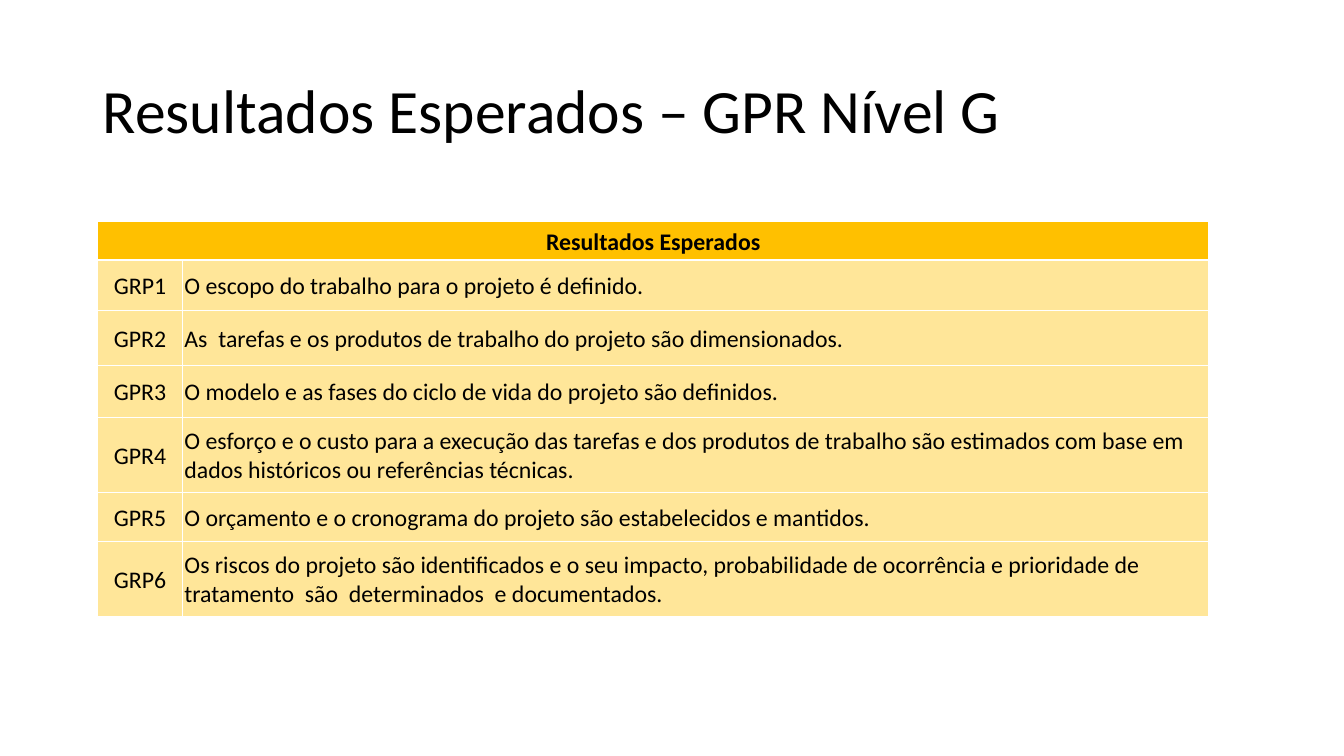
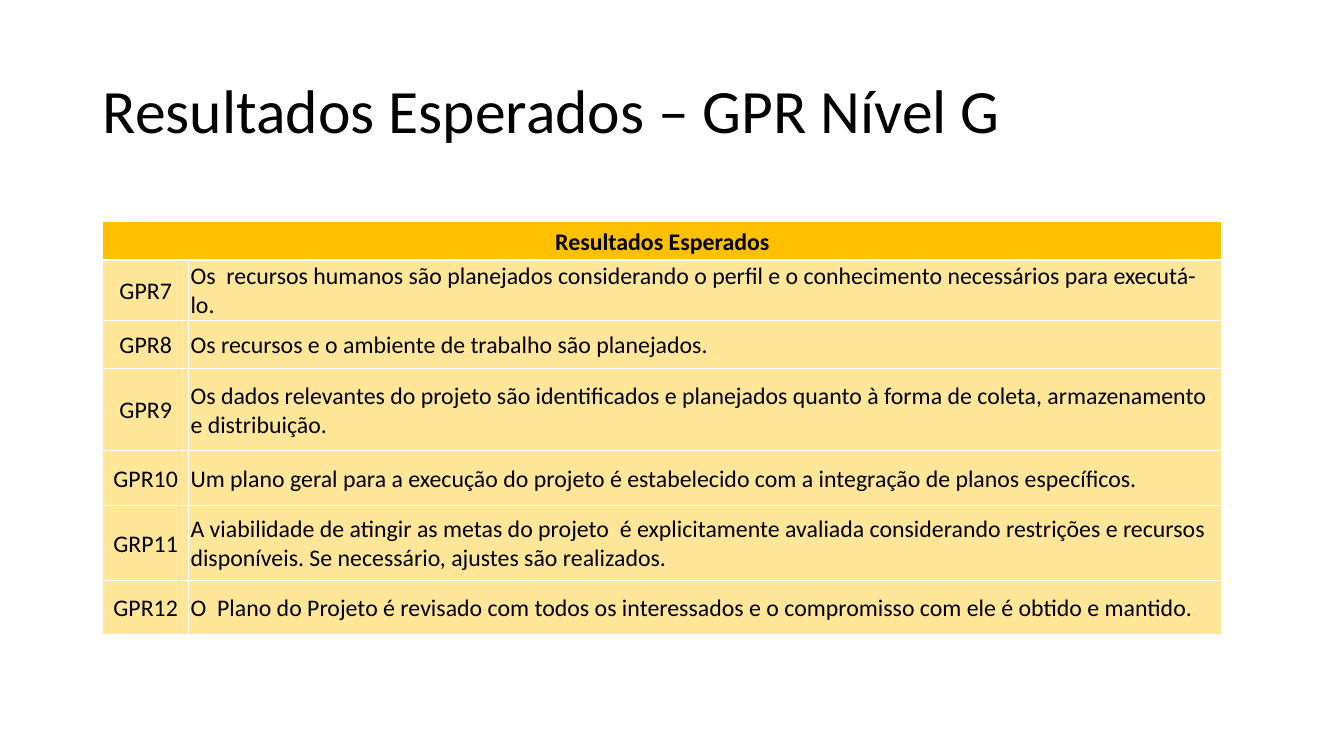
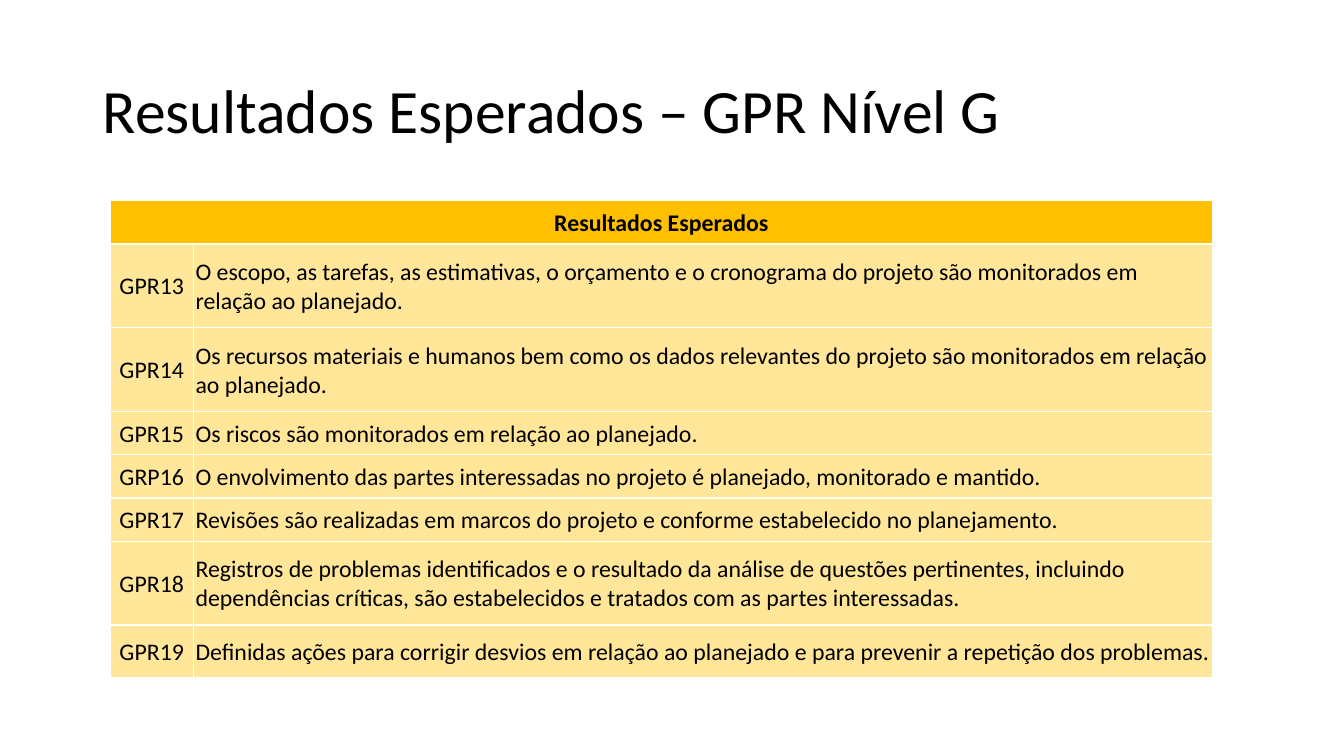
from lxml.etree import SubElement
from pptx import Presentation
from pptx.dml.color import RGBColor
from pptx.enum.text import MSO_ANCHOR, PP_ALIGN
from pptx.oxml.ns import qn
from pptx.util import Inches, Pt

COLORS = {"text": "000000", "header": "FFC000", "row": "FFE699", "border": "FFFFFF"}
FONT = "Calibri"
TITLE = "Resultados Esperados – GPR Nível G"
HEADER = "Resultados Esperados"

result_groups = [
    {
        "left": 0.97, "top": 2.2, "columns": [0.84, 10.18], "header_height": 0.38,
        "results": [
            ("GRP1", 0.5, "O escopo do trabalho para o projeto é definido."),
            ("GPR2", 0.55, "As  tarefas e os produtos de trabalho do projeto são dimensionados."),
            ("GPR3", 0.51, "O modelo e as fases do ciclo de vida do projeto são definidos."),
            ("GPR4", 0.75, "O esforço e o custo para a execução das tarefas e dos produtos de trabalho "
                           "são estimados com base em dados históricos ou referências técnicas."),
            ("GPR5", 0.48, "O orçamento e o cronograma do projeto são estabelecidos e mantidos."),
            ("GRP6", 0.75, "Os riscos do projeto são identificados e o seu impacto, probabilidade de "
                           "ocorrência e prioridade de  tratamento  são  determinados  e documentados."),
        ],
    },
    {
        "left": 1.02, "top": 2.2, "columns": [0.85, 10.25], "header_height": 0.38,
        "results": [
            ("GPR7", 0.58, "Os  recursos humanos são planejados considerando o perfil e o "
                           "conhecimento necessários para executá-lo."),
            ("GPR8", 0.48, "Os recursos e o ambiente de trabalho são planejados."),
            ("GPR9", 0.81, "Os dados relevantes do projeto são identificados e planejados quanto à "
                           "forma de coleta, armazenamento  e distribuição."),
            ("GPR10", 0.55, "Um plano geral para a execução do projeto é estabelecido com a "
                            "integração de planos específicos."),
            ("GRP11", 0.74, "A viabilidade de atingir as metas do projeto  é explicitamente avaliada "
                            "considerando restrições e recursos disponíveis. Se necessário, ajustes "
                            "são realizados."),
            ("GPR12", 0.54, "O  Plano do Projeto é revisado com todos os interessados e o "
                            "compromisso com ele é obtido e mantido."),
        ],
    },
    {
        "left": 1.09, "top": 1.99, "columns": [0.83, 10.11], "header_height": 0.43,
        "results": [
            ("GPR13", 0.83, "O escopo, as tarefas, as estimativas, o orçamento e o cronograma do "
                            "projeto são monitorados em relação ao planejado."),
            ("GPR14", 0.83, "Os recursos materiais e humanos bem como os dados relevantes do projeto "
                            "são monitorados em relação ao planejado."),
            ("GPR15", 0.43, "Os riscos são monitorados em relação ao planejado."),
            ("GRP16", 0.43, "O envolvimento das partes interessadas no projeto é planejado, "
                            "monitorado e mantido."),
            ("GPR17", 0.43, "Revisões são realizadas em marcos do projeto e conforme estabelecido "
                            "no planejamento."),
            ("GPR18", 0.83, "Registros de problemas identificados e o resultado da análise de "
                            "questões pertinentes, incluindo  dependências críticas, são "
                            "estabelecidos e tratados com as partes interessadas."),
            ("GPR19", 0.52, "Definidas ações para corrigir desvios em relação ao planejado e para "
                            "prevenir a repetição dos problemas."),
        ],
    },
]


def style_paragraph(paragraph, size, align, bold=False):
    paragraph.alignment = align
    paragraph.font.name = FONT
    paragraph.font.size = Pt(size)
    paragraph.font.bold = bold
    paragraph.font.color.rgb = RGBColor.from_string(COLORS["text"])


def style_cell(cell, fill, align, bold=False):
    cell.vertical_anchor = MSO_ANCHOR.MIDDLE
    cell.margin_left = cell.margin_right = cell.margin_top = Inches(0.02)
    cell.margin_bottom = 0
    properties = cell._tc.get_or_add_tcPr()
    for side in ("lnL", "lnR", "lnT", "lnB"):
        border = SubElement(properties, qn(f"a:{side}"), w=str(Pt(1)))
        border_fill = SubElement(border, qn("a:solidFill"))
        SubElement(border_fill, qn("a:srgbClr"), val=COLORS["border"])
    cell.fill.solid()
    cell.fill.fore_color.rgb = RGBColor.from_string(COLORS[fill])
    style_paragraph(cell.text_frame.paragraphs[0], 17, align, bold)


prs = Presentation()
prs.slide_width = Inches(13.33)
prs.slide_height = Inches(7.5)
title_only = prs.slide_layouts[5]

for group in result_groups:
    slide = prs.slides.add_slide(title_only)
    title = slide.shapes.title
    title.left, title.top = Inches(0.92), Inches(0.4)
    title.width, title.height = Inches(11.5), Inches(1.45)
    title.text_frame.text = TITLE
    title.text_frame.vertical_anchor = MSO_ANCHOR.MIDDLE
    heading = title.text_frame.paragraphs[0]
    heading.line_spacing = 0.9
    style_paragraph(heading, 44, PP_ALIGN.LEFT)

    results = group["results"]
    heights = [group["header_height"]] + [height for _, height, _ in results]
    table = slide.shapes.add_table(
        len(heights), 2, Inches(group["left"]), Inches(group["top"]),
        Inches(sum(group["columns"])), Inches(sum(heights))).table
    for column, width in zip(table.columns, group["columns"]):
        column.width = Inches(width)
    for row, height in zip(table.rows, heights):
        row.height = Inches(height)

    table.cell(0, 0).merge(table.cell(0, 1))
    table.cell(0, 0).text = HEADER
    for column in range(2):
        style_cell(table.cell(0, column), "header", PP_ALIGN.CENTER, bold=True)
    for row, (code, _, description) in enumerate(results, start=1):
        for column, (text, align) in enumerate(
                [(code, PP_ALIGN.CENTER), (description, PP_ALIGN.LEFT)]):
            cell = table.cell(row, column)
            cell.text = text
            style_cell(cell, "row", align)

prs.save("out.pptx")
